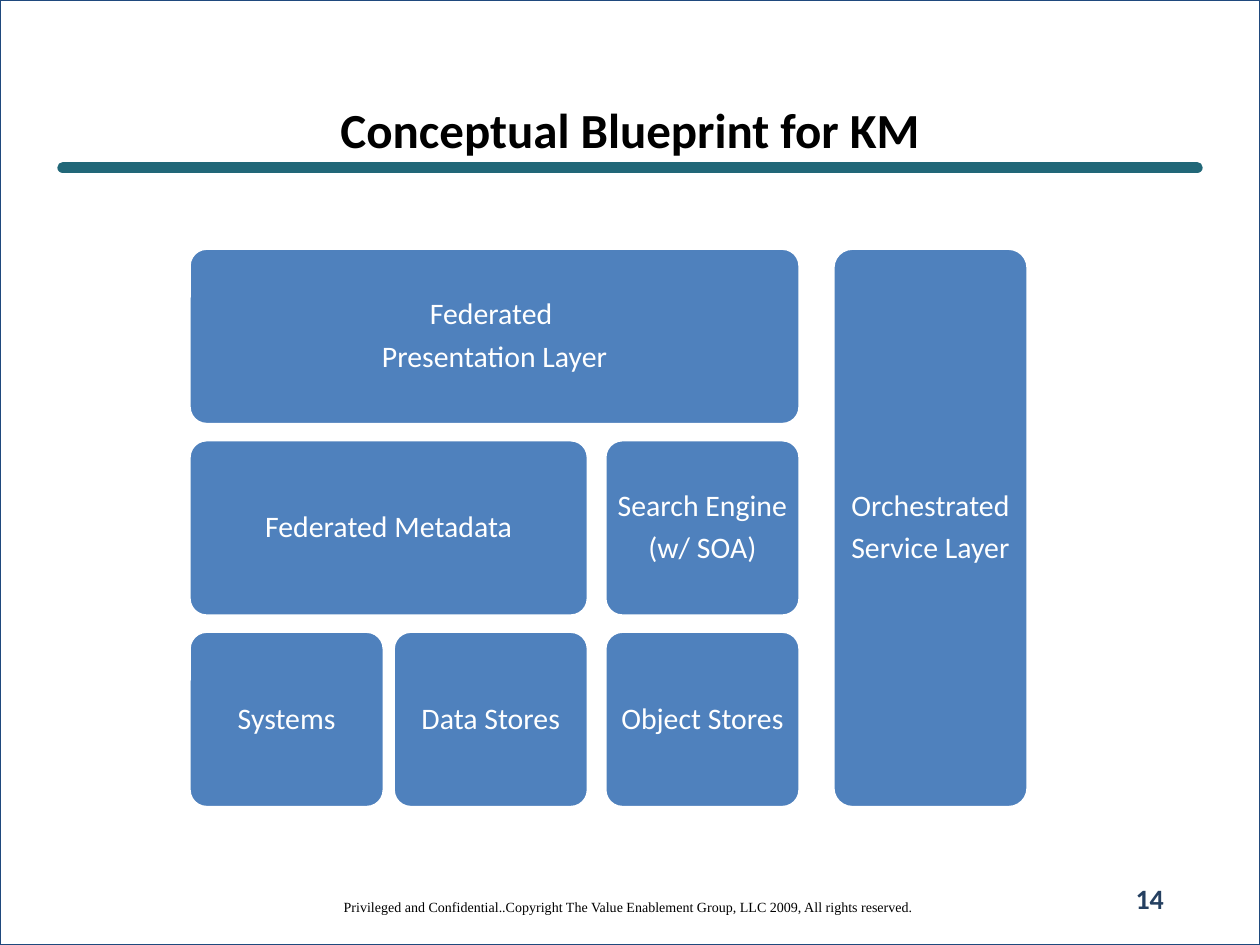
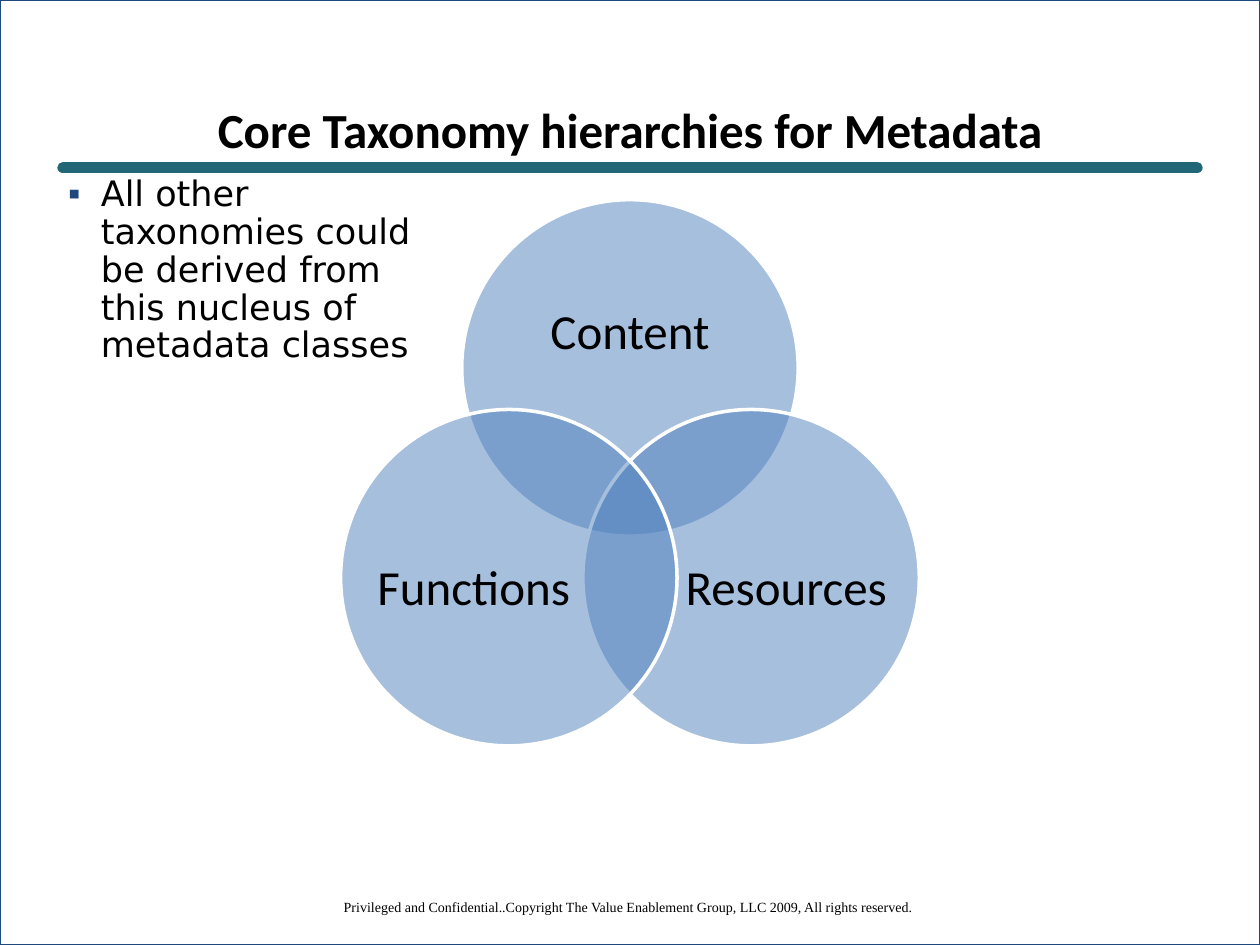
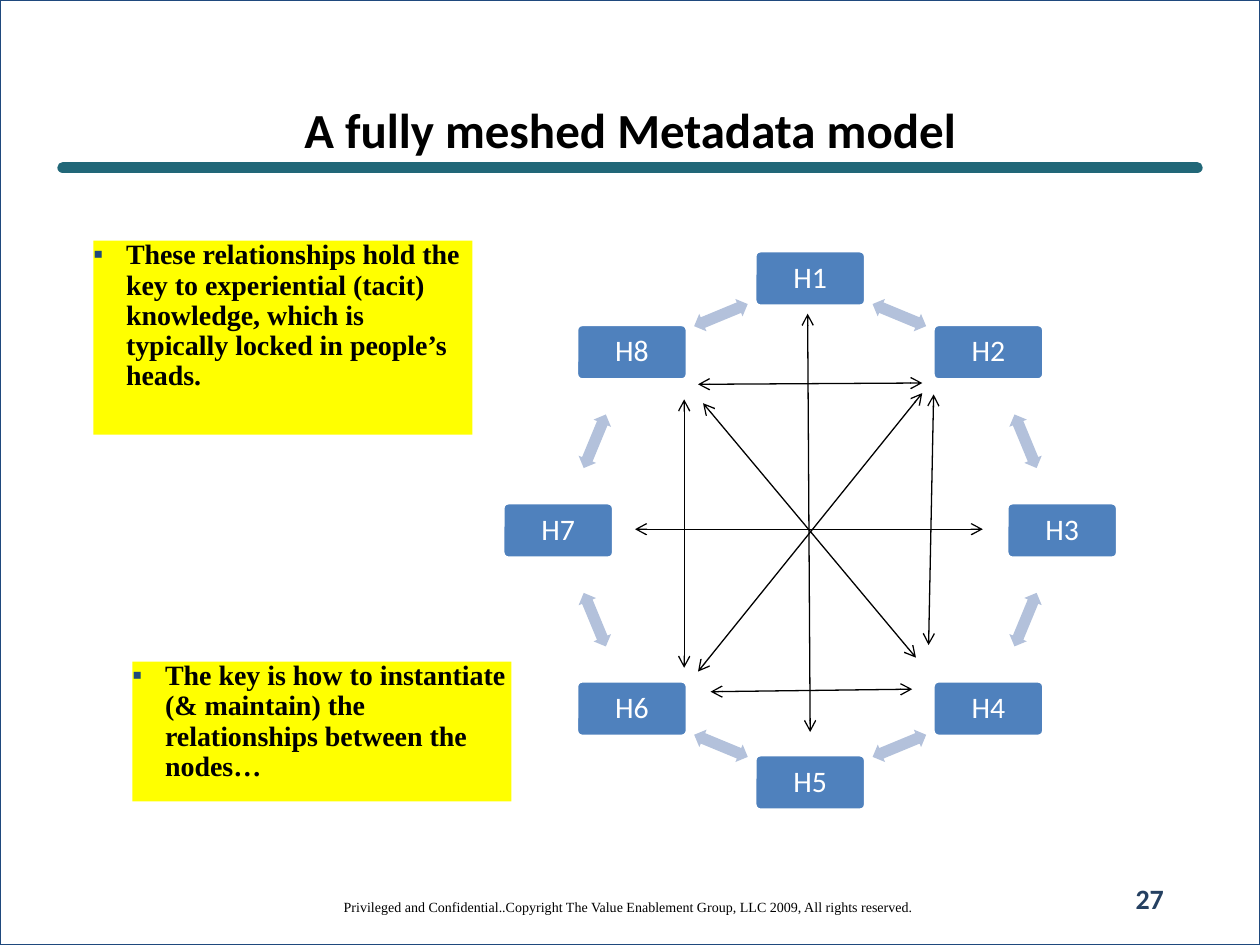
import math
from dataclasses import dataclass

import lxml.etree
import pptx
import pptx.dml.color
import pptx.enum.shapes
import pptx.enum.text
import pptx.oxml.ns
import pptx.util

Inches = pptx.util.Inches
SHAPE = pptx.enum.shapes.MSO_SHAPE
ANCHOR = pptx.enum.text.MSO_ANCHOR
ALIGN = pptx.enum.text.PP_ALIGN


@dataclass(frozen=True)
class Theme:
    black: str = "000000"
    white: str = "FFFFFF"
    navy: str = "1F497D"
    number: str = "254061"
    teal: str = "216778"
    block: str = "4F81BD"
    pale: str = "B3C1DB"
    yellow: str = "FFFF00"
    sans: str = "Calibri"
    serif: str = "Times New Roman"
    wide: str = "DejaVu Sans"
    title_size: float = 28
    list_size: float = 20
    block_size: float = 17
    note_size: float = 16
    footer_size: float = 8


T = Theme()
FOOTER = ("Privileged and Confidential..Copyright The Value Enablement Group, "
          "LLC 2009, All rights reserved.")


def rgb(color):
    return pptx.dml.color.RGBColor.from_string(color)


def sub(parent, tag, **attrs):
    return lxml.etree.SubElement(parent, pptx.oxml.ns.qn(tag), attrs)


def place(shape, x, y, w, h):
    shape.left, shape.top = Inches(x), Inches(y)
    shape.width, shape.height = Inches(w), Inches(h)


def set_insets(tf, side):
    tf.margin_left = tf.margin_right = Inches(side)
    tf.margin_top = tf.margin_bottom = Inches(side)


def set_font(p, size, color, name=T.sans, bold=False):
    p.font.size = pptx.util.Pt(size)
    p.font.name = name
    p.font.bold = bold
    p.font.color.rgb = rgb(color)


def write_lines(tf, text, size, color, name=T.sans, bold=False):
    for i, line in enumerate(text.split("\n")):
        p = tf.add_paragraph() if i else tf.paragraphs[0]
        p.text = line
        p.alignment = ALIGN.CENTER
        if i:
            p.space_before = pptx.util.Pt(round(size * 0.35))
        p.line_spacing = 0.9
        set_font(p, size, color, name, bold)


def add_label(s, text, box, size, color, name=T.sans, bold=False):
    tf = s.shapes.add_textbox(*map(Inches, box)).text_frame
    tf.word_wrap = False
    tf.vertical_anchor = ANCHOR.MIDDLE
    write_lines(tf, text, size, color, name, bold)


def add_figure(s, kind, box, fill=None, line=None, width=2):
    sp = s.shapes.add_shape(kind, *map(Inches, box))
    sp.shadow.inherit = False
    if fill:
        sp.fill.solid()
        sp.fill.fore_color.rgb = rgb(fill)
    else:
        sp.fill.background()
    if line:
        sp.line.color.rgb = rgb(line)
        sp.line.width = pptx.util.Pt(width)
    else:
        sp.line.fill.background()
    return sp


def add_block(s, text, box):
    sp = add_figure(s, SHAPE.ROUNDED_RECTANGLE, box, T.block, T.white)
    sp.adjustments[0] = 0.1
    tf = sp.text_frame
    set_insets(tf, 0.02)
    tf.word_wrap = True
    tf.vertical_anchor = ANCHOR.MIDDLE
    write_lines(tf, text, T.block_size, T.white)


def add_line(s, start, end, color, width):
    cx = s.shapes.add_connector(pptx.enum.shapes.MSO_CONNECTOR.STRAIGHT,
                                *map(Inches, start + end))
    cx.line.color.rgb = rgb(color)
    cx.line.width = pptx.util.Pt(width)
    sub(cx._element.spPr, "a:effectLst")
    return cx.line._get_or_add_ln()


def add_two_way_arrow(s, start, end):
    ln = add_line(s, start, end, T.black, 0.75)
    for tag in ("a:headEnd", "a:tailEnd"):
        sub(ln, tag, type="arrow")


def fill_list(ph, text, box, size, name, bold=False, fill=None):
    place(ph, *box)
    if fill:
        ph.fill.solid()
        ph.fill.fore_color.rgb = rgb(fill)
    tf = ph.text_frame
    tf.auto_size = pptx.enum.text.MSO_AUTO_SIZE.NONE
    set_insets(tf, 0)
    p = tf.paragraphs[0]
    p.text = text
    p.line_spacing = 0.9
    p.space_before = pptx.util.Pt(0)
    pPr = p._p.get_or_add_pPr()
    pPr.set("marL", str(Inches(0.26)))
    pPr.set("indent", str(Inches(-0.26)))
    sub(sub(pPr, "a:buClr"), "a:srgbClr", val=T.navy)
    sub(pPr, "a:buChar", char="▪")
    set_font(p, size, T.black, name, bold)


def add_slide(prs, layout, title, number=None):
    s = prs.slides.add_slide(prs.slide_layouts.get_by_name(layout))
    add_figure(s, SHAPE.RECTANGLE, (0, 0, 10, 7.5), line=T.navy, width=0.75)
    add_line(s, (0.5, 1.33), (9.5, 1.33), T.teal, 6.5).set("cap", "rnd")
    add_label(s, FOOTER, (2.41, 7.09, 5.16, 0.24), T.footer_size, T.black, T.serif)
    if number:
        add_label(s, number, (8.75, 6.95, 0.75, 0.4), T.note_size, T.number, bold=True)
    place(s.shapes.title, 0.5, 0.83, 9, 0.38)
    tf = s.shapes.title.text_frame
    tf.auto_size = pptx.enum.text.MSO_AUTO_SIZE.NONE
    tf.vertical_anchor = ANCHOR.MIDDLE
    p = tf.paragraphs[0]
    p.text = title
    p.alignment = ALIGN.CENTER
    set_font(p, T.title_size, T.black, bold=True)
    return s


def on_ring(center, radius, degrees):
    a = math.radians(degrees)
    return center[0] + radius * math.cos(a), center[1] + radius * math.sin(a)


def centered(point, w, h):
    return point[0] - w / 2, point[1] - h / 2, w, h


def build_blueprint(prs):
    s = add_slide(prs, "Title Only", "Conceptual Blueprint for KM", "14")
    columns = (1.5, 3.12, 4.8, 6.61)
    top, pitch, w, h = 1.97, 1.52, 1.55, 1.4
    blocks = (
        ("Federated \nPresentation Layer", 0, 2, 0, 0),
        ("Federated Metadata", 0, 1, 1, 1),
        ("Systems", 0, 0, 2, 2),
        ("Data Stores", 1, 1, 2, 2),
        ("Search Engine\n(w/ SOA)", 2, 2, 1, 1),
        ("Object Stores", 2, 2, 2, 2),
        ("Orchestrated\nService Layer", 3, 3, 0, 2),
    )
    for text, c1, c2, r1, r2 in blocks:
        add_block(s, text, (columns[c1], top + r1 * pitch,
                            columns[c2] - columns[c1] + w, (r2 - r1) * pitch + h))


def build_taxonomy(prs):
    s = add_slide(prs, "Title and Content", "Core Taxonomy hierarchies for Metadata")
    circles = (("Content", -90, (5, 2.65)),
               ("Resources", 30, (6.24, 4.68)),
               ("Functions", 150, (3.76, 4.68)))
    for text, angle, label_at in circles:
        box = centered(on_ring((5, 4.03), 1.11, angle), 2.67, 2.67)
        sp = add_figure(s, SHAPE.OVAL, box, T.block, T.white)
        color = sp._element.spPr.find(".//" + pptx.oxml.ns.qn("a:srgbClr"))
        sub(color, "a:alpha", val="50000")
        add_label(s, text, centered(label_at, 1.8, 1.2), T.title_size, T.black)
    fill_list(s.placeholders[1],
              "All other taxonomies could be derived from this nucleus of metadata classes",
              (0.54, 1.4, 2.83, 4.71), T.list_size, T.wide)


def build_mesh(prs):
    s = add_slide(prs, "Two Content", "A fully meshed Metadata model", "27")
    center, radius, step = (6.43, 4.21), 2, 45
    for i in range(8):
        angle = i * step - 90
        add_block(s, f"H{i + 1}", centered(on_ring(center, radius, angle), 0.88, 0.44))
        between = on_ring(center, 1.85, angle + step / 2)
        sp = add_figure(s, SHAPE.LEFT_RIGHT_ARROW, centered(between, 0.46, 0.15), T.pale)
        sp.adjustments[0], sp.adjustments[1] = 0.6, 0.5
        sp.rotation = (i + 0.5) * step
    links = (
        ((5.58, 3.2), (7.27, 5.22)),
        ((6.41, 2.49), (6.43, 5.81)),
        ((5.04, 4.2), (7.8, 4.2)),
        ((7.32, 3.12), (5.54, 5.33)),
        ((7.41, 3.13), (7.37, 5.12)),
        ((5.54, 3.05), (7.32, 3.04)),
        ((5.43, 3.17), (5.43, 5.3)),
        ((5.64, 5.49), (7.24, 5.47)),
    )
    for start, end in links:
        add_two_way_arrow(s, start, end)
    notes = (
        ("These relationships hold the key to experiential (tacit) knowledge, "
         "which is typically locked in people’s heads.", (0.74, 1.91, 3.01, 1.54)),
        ("The key is how to instantiate (& maintain) the relationships "
         "between the nodes…", (1.05, 5.25, 3.01, 1.11)),
    )
    for idx, (text, box) in enumerate(notes, 1):
        fill_list(s.placeholders[idx], text, box, T.note_size, T.serif, True, T.yellow)


def main():
    prs = pptx.Presentation()
    prs.slide_width, prs.slide_height = Inches(10), Inches(7.5)
    build_blueprint(prs)
    build_taxonomy(prs)
    build_mesh(prs)
    prs.save("out.pptx")


if __name__ == "__main__":
    main()
